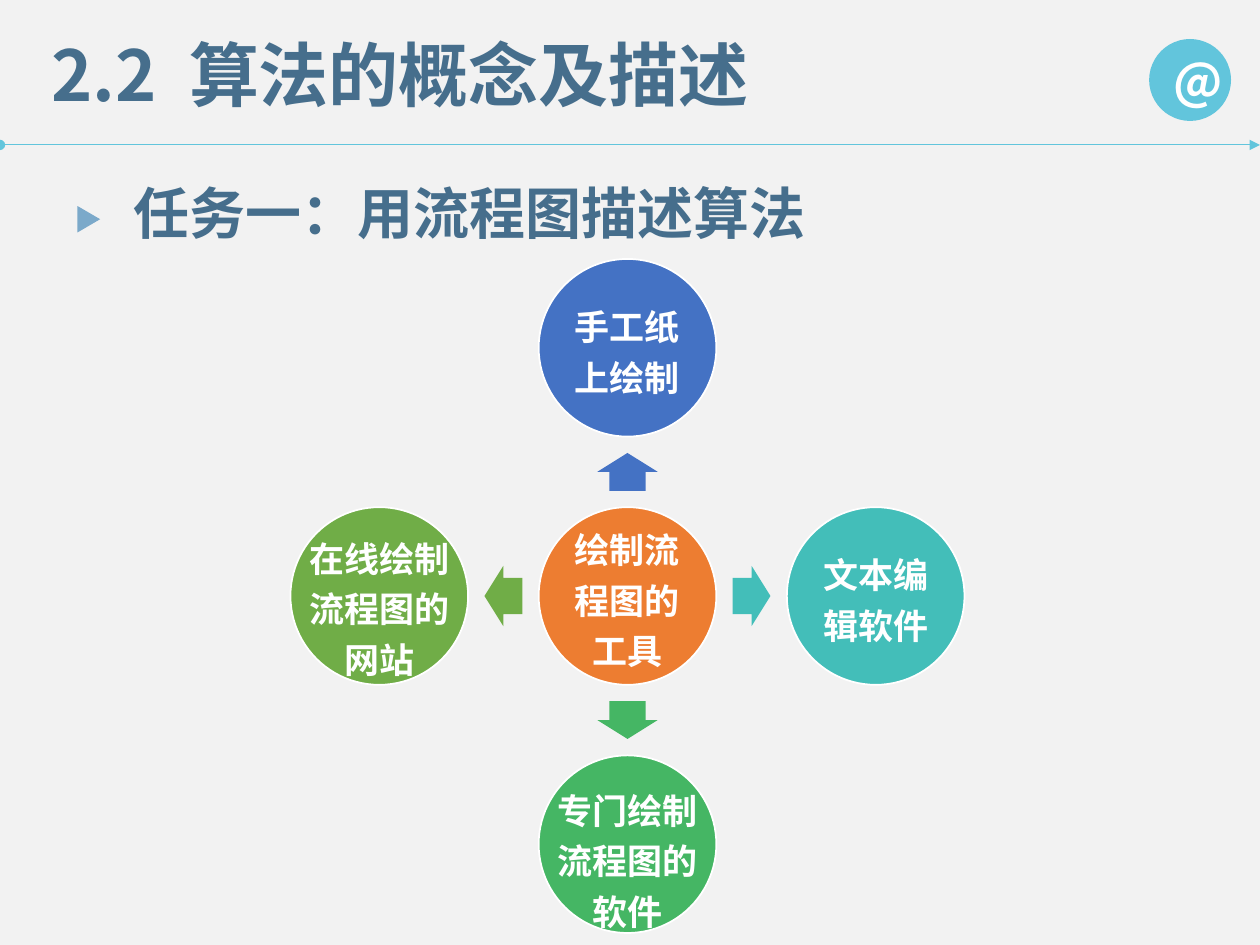
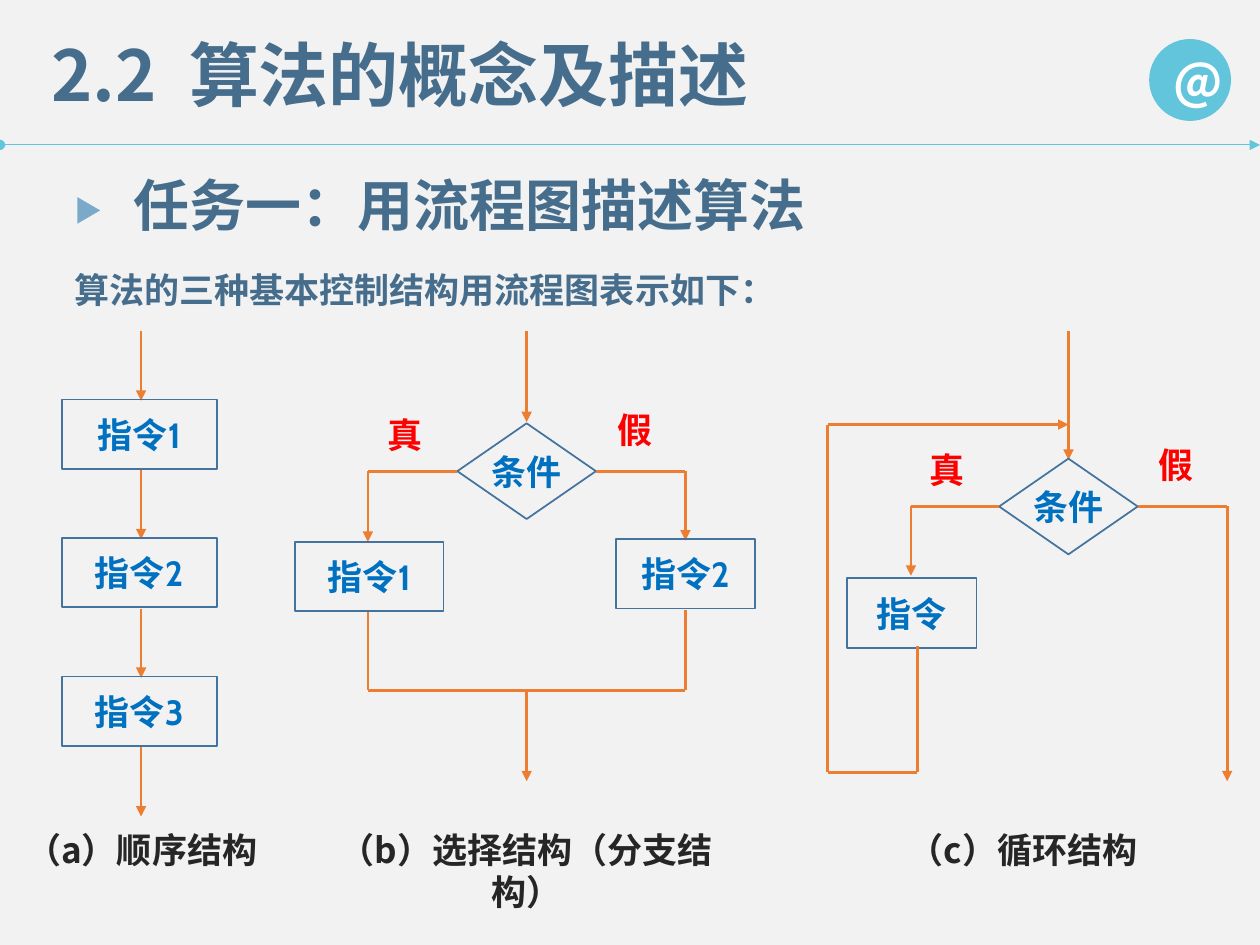
from dataclasses import dataclass

from lxml import etree
from pptx import Presentation
from pptx.dml.color import RGBColor
from pptx.enum import shapes, text
from pptx.oxml import ns
from pptx.util import Inches, Pt


@dataclass(frozen=True)
class Theme:
    paper: str = "F2F2F2"
    accent: str = "62C5DC"
    heading: str = "466E8C"
    marker: str = "7BA9CA"
    wire: str = "ED7D31"
    frame: str = "43739E"
    step: str = "0070C0"
    branch: str = "FF0000"
    caption: str = "262626"
    white: str = "FFFFFF"
    hub: str = "ED7D31"
    up: str = "4472C4"
    right: str = "43BEB9"
    down: str = "45B664"
    left: str = "70AD47"
    title_size: int = 40
    task_size: int = 32
    badge_size: int = 28
    text_size: int = 20
    font: str = "Noto Sans CJK SC"
    circle_font: str = "Calibri"
    step_font: str = "Cabin"


THEME = Theme()
KIND = shapes.MSO_SHAPE
ALIGN = text.PP_ALIGN
ANCHOR = text.MSO_ANCHOR


def color(value):
    return RGBColor.from_string(value)


def write(frame, words, size, ink, font=THEME.font, align=ALIGN.LEFT,
          anchor=ANCHOR.TOP, inset=None, wrap=True, spacing=None):
    frame.word_wrap = wrap
    frame.auto_size = text.MSO_AUTO_SIZE.NONE
    frame.vertical_anchor = anchor
    if inset is not None:
        frame.margin_left = frame.margin_right = Inches(inset)
        frame.margin_top = frame.margin_bottom = Inches(inset)
    para = frame.paragraphs[0]
    para.alignment = align
    para.space_before = Pt(0)
    if spacing:
        para.line_spacing = spacing
    span = para.add_run()
    span.text = words
    span.font.size = Pt(size)
    span.font.bold = True
    span.font.color.rgb = color(ink)
    span.font.name = font
    properties = span._r.get_or_add_rPr()
    etree.SubElement(properties, ns.qn("a:ea"), typeface=THEME.font)
    return para


def place(box, left, top, width, height):
    box.left, box.top = Inches(left), Inches(top)
    box.width, box.height = Inches(width), Inches(height)


def add_label(page, bounds, words, ink, **style):
    box = page.shapes.add_textbox(*map(Inches, bounds))
    write(box.text_frame, words, THEME.text_size, ink, **style)


def add_figure(page, kind, bounds, fill=None, line=None, rotation=0):
    figure = page.shapes.add_shape(kind, *map(Inches, bounds))
    figure.shadow.inherit = False
    figure.rotation = rotation
    if fill:
        figure.fill.solid()
        figure.fill.fore_color.rgb = color(fill)
    else:
        figure.fill.background()
    if line:
        figure.line.color.rgb = color(line)
        figure.line.width = Pt(1)
    else:
        figure.line.fill.background()
    return figure


def add_line(page, start, end, ink, width, head=None, tail=None):
    points = map(Inches, (*start, *end))
    line = page.shapes.add_connector(shapes.MSO_CONNECTOR.STRAIGHT, *points)
    line.line.color.rgb = color(ink)
    line.line.width = Pt(width)
    outline = line.line._get_or_add_ln()
    for tag, kind in (("a:headEnd", head), ("a:tailEnd", tail)):
        if kind:
            etree.SubElement(outline, ns.qn(tag), type=kind)
    etree.SubElement(line._element.spPr, ns.qn("a:effectLst"))


def add_wire(page, *points, arrow=True):
    for index, (start, end) in enumerate(zip(points, points[1:]), 2):
        tail = "triangle" if arrow and index == len(points) else None
        add_line(page, start, end, THEME.wire, 1.5, tail=tail)


def add_node(page, kind, bounds, words, font):
    node = add_figure(page, kind, bounds, line=THEME.frame)
    write(node.text_frame, words, THEME.text_size, THEME.step, font=font,
          align=ALIGN.CENTER, anchor=ANCHOR.MIDDLE, inset=0, wrap=False)


def add_step(page, left, top, width, words):
    add_node(page, KIND.FLOWCHART_PROCESS, (left, top, width, 0.55), words, THEME.step_font)


def add_decision(page, left, top):
    add_node(page, KIND.FLOWCHART_DECISION, (left, top, 1.1, 0.76), "条件", THEME.font)
    for words, across, rise in (("真", -0.65, 0.13), ("假", 1.17, 0.17)):
        add_label(page, (left + across, top - rise, 0.57, 0.44), words, THEME.branch)


def add_caption(page, left, width, words):
    add_label(page, (left, 6.53, width, 0.44), words, THEME.caption, align=ALIGN.CENTER)


def add_page(deck, task_top):
    page = deck.slides.add_slide(deck.slide_layouts[1])
    page.background.fill.solid()
    page.background.fill.fore_color.rgb = color(THEME.paper)
    add_line(page, (0, 1.15), (10, 1.15), THEME.accent, 0.5, "oval", "triangle")
    badge = add_figure(page, KIND.OVAL, (9.12, 0.31, 0.65, 0.65), THEME.accent)
    write(badge.text_frame, "@", THEME.badge_size, THEME.white,
          align=ALIGN.CENTER, anchor=ANCHOR.MIDDLE)

    title = page.shapes.title
    place(title, 0.31, 0.2, 6.02, 0.77)
    para = write(title.text_frame, "2.2\t算法的概念及描述", THEME.title_size, THEME.heading)
    tabs = etree.SubElement(para._p.get_or_add_pPr(), ns.qn("a:tabLst"))
    etree.SubElement(tabs, ns.qn("a:tab"), pos=str(Inches(1.09)), algn="l")

    task = page.placeholders[1]
    place(task, 0.96, task_top, 5.61, 0.64)
    para = write(task.text_frame, "任务一：用流程图描述算法", THEME.task_size, THEME.heading)
    properties = para._p.get_or_add_pPr()
    properties.set("marL", "0")
    properties.set("indent", "0")
    etree.SubElement(properties, ns.qn("a:buNone"))
    add_figure(page, KIND.ISOSCELES_TRIANGLE, (0.6, task_top + 0.28, 0.21, 0.18),
               THEME.marker, rotation=90)
    return page


def add_circle(page, x, y, fill, words, width=1, drop=0):
    size = 1.41
    add_figure(page, KIND.OVAL, (x - size / 2, y - size / 2, size, size), fill, THEME.white)
    add_label(page, (x - width / 2, y - 0.5 + drop, width, 1), words, THEME.white,
              font=THEME.circle_font, align=ALIGN.CENTER, anchor=ANCHOR.MIDDLE,
              inset=0.03, spacing=1.2)


def build_tools(deck):
    page = add_page(deck, 1.37)
    x, y, reach = 4.98, 4.73, 1.97
    add_circle(page, x, y, THEME.hub, "绘制流程图的工具")
    spokes = (
        (0, -1, 270, THEME.up, "手工纸上绘制", 1, 0),
        (1, 0, 0, THEME.right, "文本编辑软件", 1, 0),
        (0, 1, 90, THEME.down, "专门绘制流程图的软件", 1.2, 0.1),
        (-1, 0, 180, THEME.left, "在线绘制流程图的网站", 1.2, 0.07),
    )
    for across, along, turn, fill, words, width, drop in spokes:
        middle = x + across * reach / 2, y + along * reach / 2
        bounds = (middle[0] - 0.15, middle[1] - 0.24, 0.3, 0.48)
        arrow = add_figure(page, KIND.RIGHT_ARROW, bounds, fill, rotation=turn)
        arrow.adjustments[0], arrow.adjustments[1] = 0.6, 0.5
        add_circle(page, x + across * reach, y + along * reach, fill, words, width, drop)


def draw_sequence(page):
    for index in range(4):
        top = 2.63 + index * 1.1
        add_wire(page, (1.12, top), (1.12, top + 0.55))
        if index < 3:
            add_step(page, 0.49, top + 0.54, 1.23, f"指令{index + 1}")
    add_caption(page, 0.09, 2.07, "（a）顺序结构")


def draw_selection(page):
    add_wire(page, (4.18, 2.63), (4.18, 3.35))
    add_decision(page, 3.63, 3.36)
    add_wire(page, (3.63, 3.74), (2.92, 3.74), (2.92, 4.3))
    add_wire(page, (4.73, 3.74), (5.44, 3.74), (5.44, 4.29))
    add_step(page, 2.34, 4.3, 1.18, "指令1")
    add_step(page, 4.89, 4.28, 1.1, "指令2")
    add_wire(page, (2.92, 4.86), (2.92, 5.48), (5.44, 5.48), (5.44, 4.84), arrow=False)
    add_wire(page, (4.18, 5.48), (4.18, 6.2))
    add_caption(page, 2.37, 3.61, "（b）选择结构（分支结构）")


def draw_loop(page):
    add_wire(page, (8.48, 2.63), (8.48, 3.65))
    add_decision(page, 7.93, 3.64)
    add_wire(page, (7.93, 4.02), (7.23, 4.02), (7.23, 4.57))
    add_wire(page, (9.03, 4.02), (9.74, 4.02), (9.74, 6.2))
    add_step(page, 6.72, 4.59, 1.03, "指令")
    add_wire(page, (7.28, 5.13), (7.28, 6.13), (6.57, 6.13), (6.57, 3.37), (8.48, 3.37))
    add_caption(page, 6.95, 2.34, "（c）循环结构")


def build_structures(deck):
    page = add_page(deck, 1.3)
    add_label(page, (0.49, 2.08, 9.17, 0.44),
              "算法的三种基本控制结构用流程图表示如下：", THEME.heading)
    draw_sequence(page)
    draw_selection(page)
    draw_loop(page)


def main():
    deck = Presentation()
    deck.slide_width, deck.slide_height = Inches(10), Inches(7.5)
    build_tools(deck)
    build_structures(deck)
    deck.save("out.pptx")


if __name__ == "__main__":
    main()
